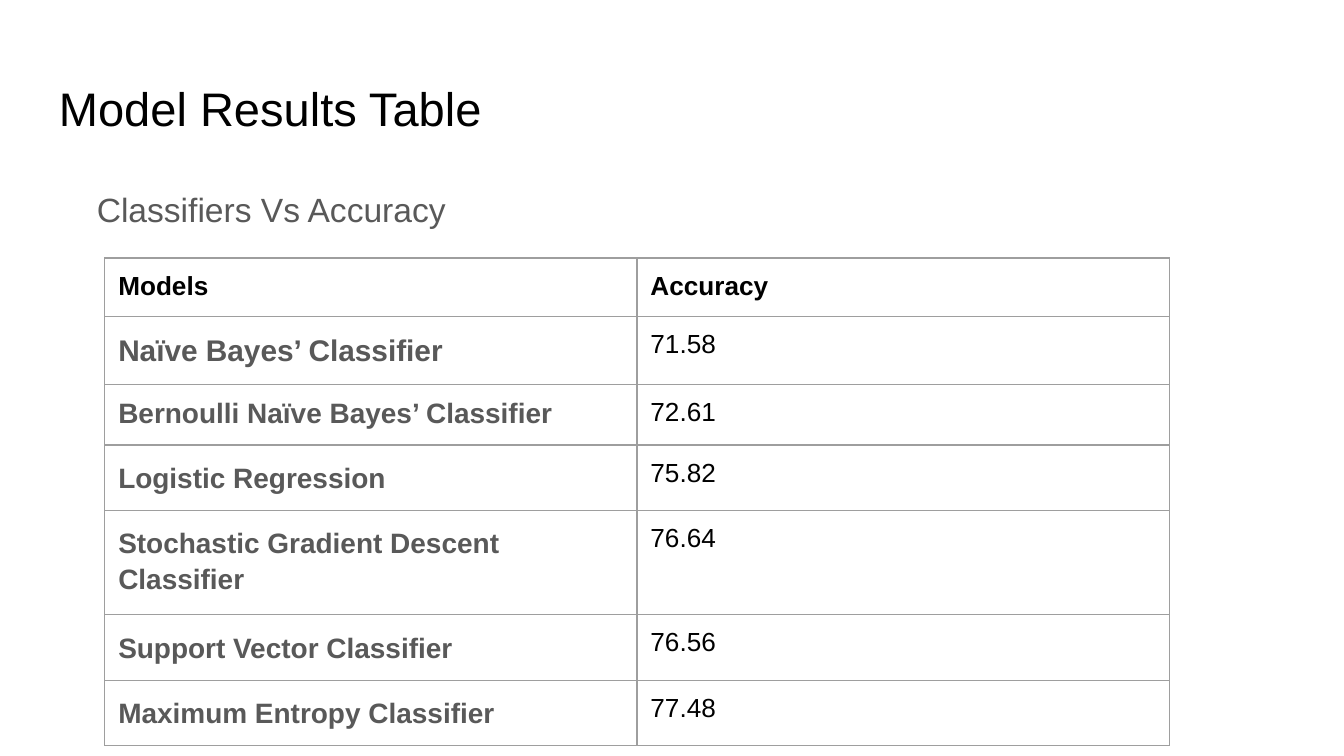
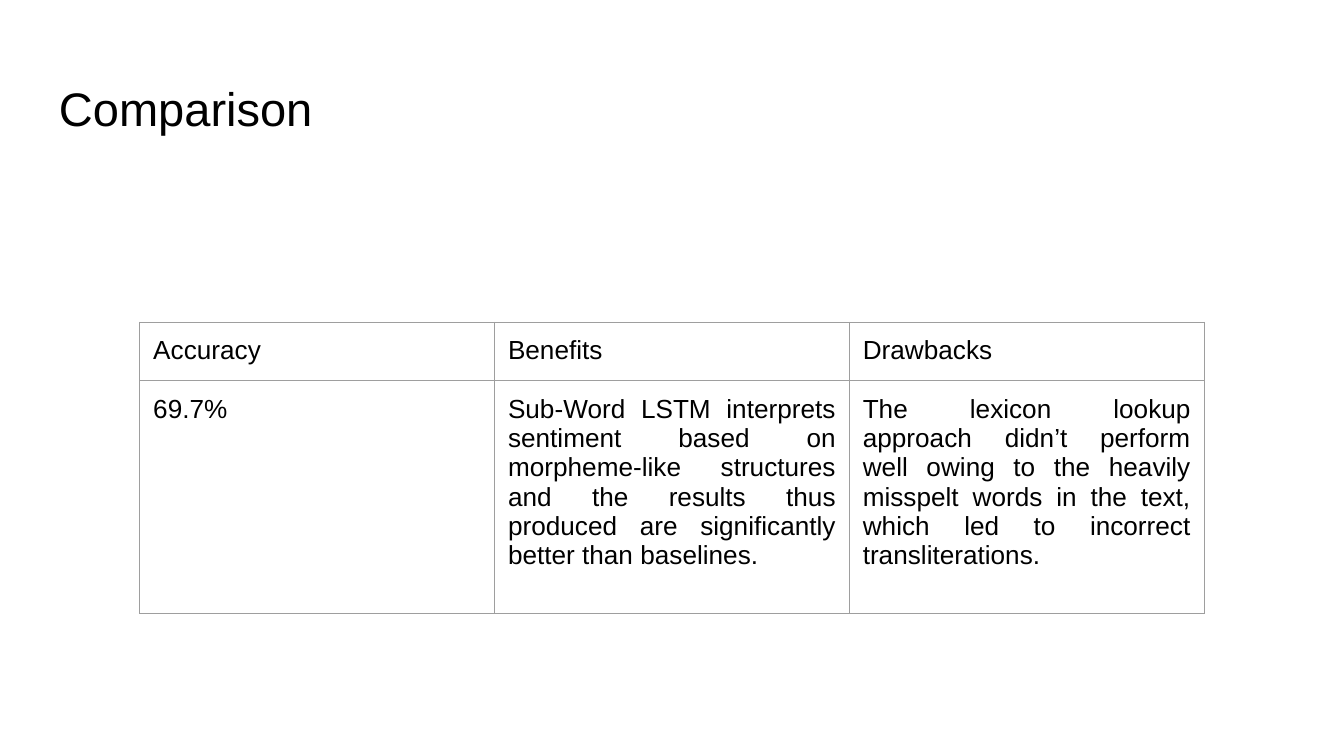
from lxml import etree
from pptx import Presentation
from pptx import util as u
from pptx.dml.color import RGBColor
from pptx.enum import text
from pptx.oxml.ns import qn

INK = {"black": "000000", "gray": "595959", "rule": "9E9E9E"}
FONT = "Arial"
PAD = 0.1
ROW = 0.42
SIDE = 3.28

SCORES = [
    ("Naïve Bayes’ Classifier", "71.58"),
    ("Bernoulli Naïve Bayes’ Classifier", "72.61"),
    ("Logistic Regression", "75.82"),
    ("Stochastic Gradient Descent Classifier", "76.64"),
    ("Support Vector Classifier", "76.56"),
    ("Maximum Entropy Classifier", "77.48"),
]
HEADS = ["Accuracy", "Benefits", "Drawbacks"]
NOTES = [
    "69.7%",
    "Sub-Word LSTM interprets sentiment based on morpheme-like structures "
    "and the results thus produced are signiﬁcantly better than baselines.",
    "The lexicon lookup approach didn’t perform well owing to the heavily "
    "misspelt words in the text, which led to incorrect transliterations.",
]


def write(frame, words, size, ink="black", bold=False):
    para = frame.paragraphs[0]
    para.text = words
    para.font.name = FONT
    para.font.size = u.Pt(size)
    para.font.bold = bold
    para.font.color.rgb = RGBColor.from_string(INK[ink])
    return para


def pad(item):
    """Set equal margins on a text frame or table cell."""
    item.margin_left = item.margin_right = u.Inches(PAD)
    item.margin_top = item.margin_bottom = u.Inches(PAD)


def add_text(slide, words, top, height, size, ink="black"):
    box = slide.shapes.add_textbox(
        u.Inches(0.34), u.Inches(top), u.Inches(9.32), u.Inches(height))
    frame = box.text_frame
    frame.word_wrap = True
    pad(frame)
    return frame, write(frame, words, size, ink)


def add_title(slide, words):
    frame, _ = add_text(slide, words, 0.49, 0.63, 25.2)
    frame.vertical_anchor = text.MSO_ANCHOR.MIDDLE


def rule(cell):
    """Draw a thin line on all four sides of a cell."""
    props = cell._tc.get_or_add_tcPr()
    for side in ("lnL", "lnR", "lnT", "lnB"):
        line = etree.SubElement(props, qn("a:" + side), w=str(u.Pt(0.75)))
        fill = etree.SubElement(line, qn("a:solidFill"))
        etree.SubElement(fill, qn("a:srgbClr"), val=INK["rule"])


def add_grid(slide, left, top, width, heights, cols):
    """Add a plain ruled table with equal columns."""
    frame = slide.shapes.add_table(
        len(heights), cols, u.Inches(left), u.Inches(top),
        u.Inches(SIDE), u.Inches(SIDE))
    grid = frame.table
    grid.first_row = grid.horz_banding = False
    for col in grid.columns:
        col.width = u.Inches(width)
    for row, height in zip(grid.rows, heights):
        row.height = u.Inches(height)
    frame.width = frame.height = u.Inches(SIDE)
    for cell in grid.iter_cells():
        pad(cell)
        rule(cell)
        cell.fill.background()
    return grid


def add_scores(slide):
    add_title(slide, "Model Results Table")
    frame, para = add_text(
        slide, "Classifiers Vs Accuracy", 1.26, 3.74, 18, "gray")
    frame.margin_left = u.Inches(0.38)
    para.line_spacing = 1.15

    grid = add_grid(slide, 0.78, 1.92, 3.96, [ROW] * (len(SCORES) + 1), 2)
    for col, head in enumerate(("Models", "Accuracy")):
        write(grid.cell(0, col).text_frame, head, 14, bold=True)
    for row, (model, score) in enumerate(SCORES, 1):
        size = 16 if row == 1 else 15
        para = write(grid.cell(row, 0).text_frame, model, size, "gray", True)
        if row != 2:
            para.line_spacing = 1.15
            para.space_after = u.Pt(12)
        write(grid.cell(row, 1).text_frame, score, 14)


def add_versus(slide):
    add_title(slide, "Comparison")
    grid = add_grid(slide, 1.04, 2.4, 2.64, [ROW, 1.73], len(HEADS))
    for col, (head, note) in enumerate(zip(HEADS, NOTES)):
        write(grid.cell(0, col).text_frame, head, 14)
        para = write(grid.cell(1, col).text_frame, note, 14)
        if col:
            para.alignment = text.PP_ALIGN.JUSTIFY


def main():
    deck = Presentation()
    deck.slide_width = u.Inches(10)
    deck.slide_height = u.Inches(10 * 9 / 16)
    for build in (add_scores, add_versus):
        build(deck.slides.add_slide(deck.slide_layouts[6]))
    deck.save("out.pptx")


if __name__ == "__main__":
    main()
